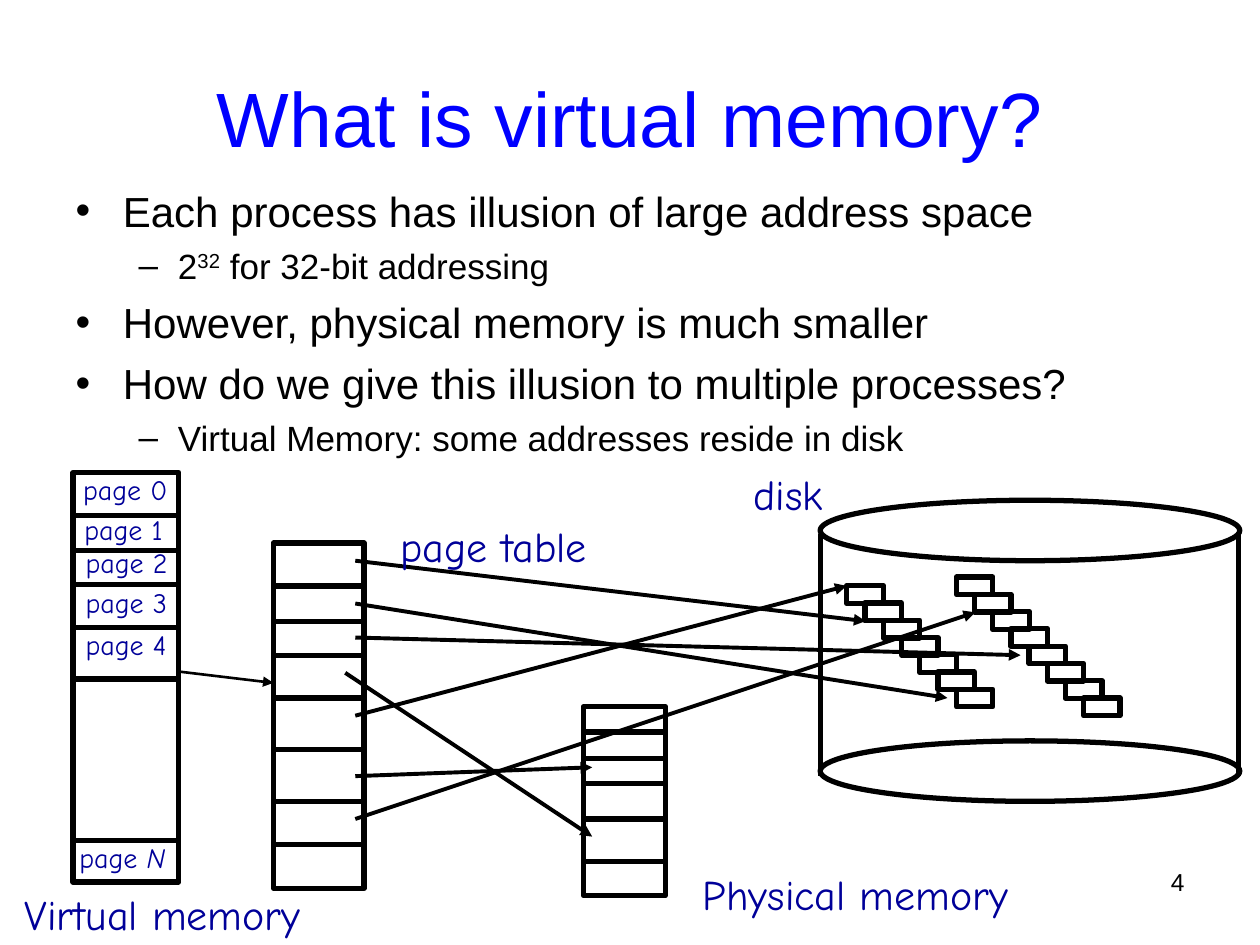
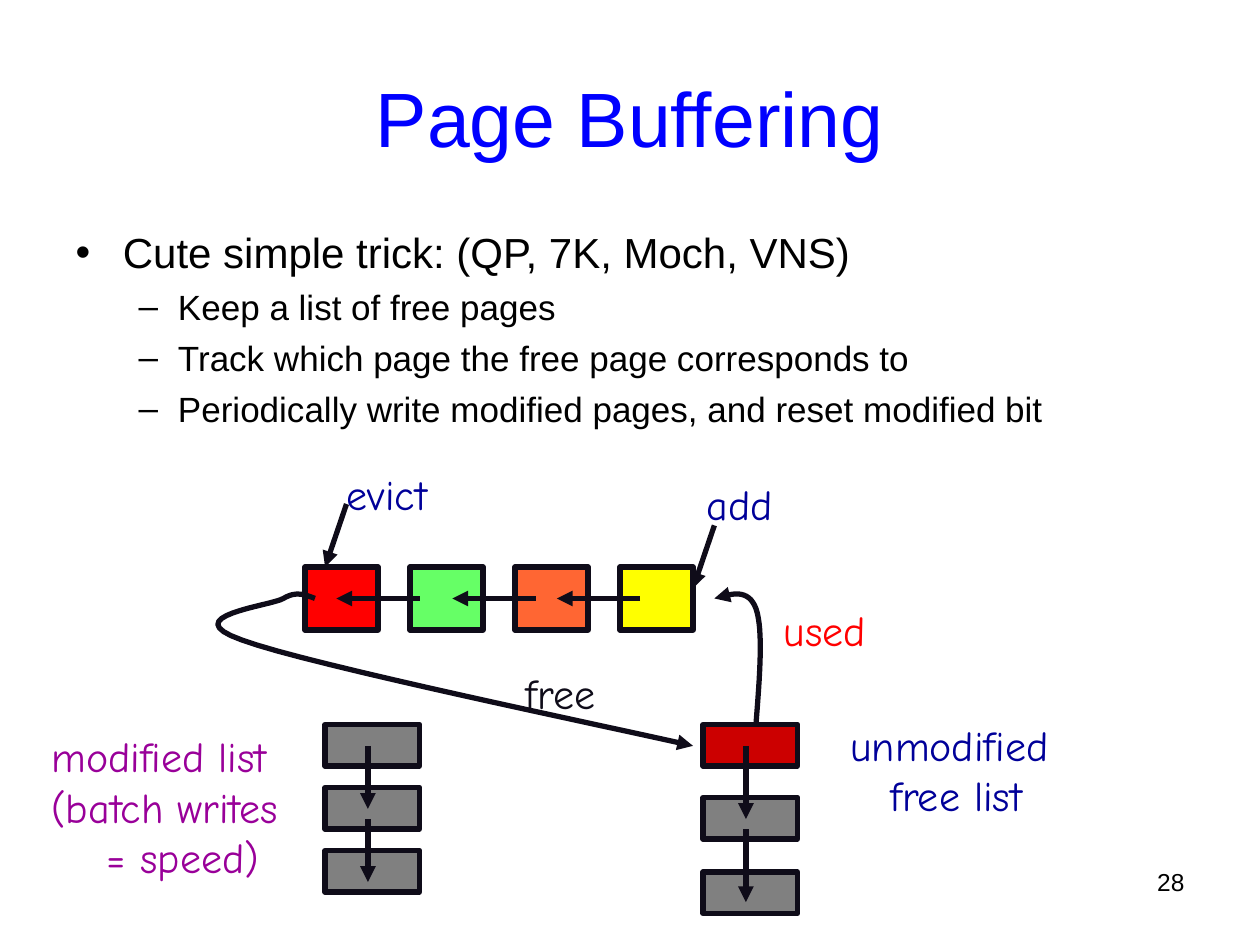
"""Build two slides on virtual memory and page buffering."""
from lxml import etree
from pptx import Presentation
from pptx.dml.color import RGBColor
from pptx.enum.shapes import MSO_CONNECTOR, MSO_SHAPE
from pptx.enum.text import MSO_ANCHOR, MSO_AUTO_SIZE, PP_ALIGN
from pptx.oxml.ns import qn
from pptx.util import Inches, Pt

RECT, OVAL = MSO_SHAPE.RECTANGLE, MSO_SHAPE.OVAL
STRAIGHT = MSO_CONNECTOR.STRAIGHT
LEFT, CENTER, RIGHT = PP_ALIGN.LEFT, PP_ALIGN.CENTER, PP_ALIGN.RIGHT
TOP, MIDDLE = MSO_ANCHOR.TOP, MSO_ANCHOR.MIDDLE
NO_FIT = MSO_AUTO_SIZE.NONE

COLORS = {
    "title": "0000FF", "black": "000000", "ink": "0F0C19", "navy": "000099",
    "red": "FF0000", "green": "66FF66", "orange": "FF6633", "yellow": "FFFF00",
    "dark red": "CC0000", "gray": "808080", "purple": "990099",
}
SANS, HAND = "Arial", "Comic Neue"
TITLE_BOX = (0.5, 0.3, 9, 1.25)
NUMBER_BOX = (7.17, 6.83, 2.33, 0.52)
LEVELS = ({"size": Pt(24), "before": Pt(6)}, {"size": Pt(20), "before": Pt(5)})


def rgb(name):
    """Return the colour held under a name."""
    return RGBColor.from_string(COLORS[name])


def bezier(p0, p1, p2, p3, steps=16):
    """Return points along a cubic curve, without its start."""
    ts = [i / steps for i in range(1, steps + 1)]
    return [tuple((1 - t) ** 3 * a + 3 * (1 - t) ** 2 * t * b
                  + 3 * (1 - t) * t ** 2 * c + t ** 3 * d
                  for a, b, c, d in zip(p0, p1, p2, p3)) for t in ts]


class Deck:
    """Holds the style and the current slide."""

    def __init__(self):
        """Start an empty presentation."""
        self.prs = Presentation()
        self.prs.slide_width, self.prs.slide_height = Inches(10), Inches(7.5)
        self.s, self.ink = None, "black"

    def slide(self, title, number, bullets, body_top, ink):
        """Add a slide with its title, list and number."""
        self.s, self.ink = self.prs.slides.add_slide(self.prs.slide_layouts[1]), ink
        sp, body = self.s.placeholders
        self.place(sp, TITLE_BOX)
        self.run(sp.text_frame.paragraphs[0], title, "title", name=SANS, size=Pt(44))
        self.place(body, (0.5, body_top, 9, 4.95))
        for i, (level, text) in enumerate(bullets):
            p = self.paragraph(body.text_frame, i)
            p.level, p.space_before = level, LEVELS[level]["before"]
            for part, fmt in [(text, {})] if isinstance(text, str) else text:
                self.run(p, part, "black", name=SANS, size=LEVELS[level]["size"], **fmt)
        self.text(NUMBER_BOX, [number], "black", size=14, font=SANS, align=RIGHT)

    def place(self, sp, box):
        """Move a placeholder and keep its text size fixed."""
        sp.left, sp.top, sp.width, sp.height = map(Inches, box)
        sp.text_frame.auto_size = NO_FIT

    def paragraph(self, tf, i):
        """Return the first paragraph or a new one."""
        return tf.add_paragraph() if i else tf.paragraphs[0]

    def run(self, p, text, color, baseline=None, **fmt):
        """Add a formatted run."""
        r = p.add_run()
        r.text = text
        for key, value in fmt.items():
            setattr(r.font, key, value)
        r.font.color.rgb = rgb(color)
        if baseline:
            r.font._element.set("baseline", str(baseline))

    def text(self, box, lines, color="navy", size=24, font=HAND, align=LEFT,
             anchor=TOP, margin=None, before=0):
        """Add a text box and return its frame."""
        tf = self.s.shapes.add_textbox(*map(Inches, box)).text_frame
        frame = {"auto_size": NO_FIT, "word_wrap": True, "vertical_anchor": anchor}
        if margin is not None:
            frame.update({f"margin_{side}": Inches(margin)
                          for side in ("left", "top", "right", "bottom")})
        for key, value in frame.items():
            setattr(tf, key, value)
        for i, line in enumerate(lines):
            p = self.paragraph(tf, i)
            p.alignment, p.space_before = align, Pt(before)
            self.run(p, line, color, name=font, size=Pt(size))
        return tf

    def outline(self, sp, width, arrow=False):
        """Give a shape the slide's line, with an arrowhead if asked."""
        sp.line.color.rgb, sp.line.width = rgb(self.ink), Pt(width)
        if arrow:
            etree.SubElement(sp.line._get_or_add_ln(), qn("a:tailEnd"), type="triangle")

    def shape(self, box, fill=None, kind=RECT):
        """Add an outlined shape, filled if a colour is named."""
        sp = self.s.shapes.add_shape(kind, *map(Inches, box))
        sp.shadow.inherit = False
        if fill:
            sp.fill.solid()
            sp.fill.fore_color.rgb = rgb(fill)
        else:
            sp.fill.background()
        self.outline(sp, 3)

    def line(self, x1, y1, x2, y2, width=3.0, arrow=False):
        """Add a straight line or arrow."""
        cx = self.s.shapes.add_connector(STRAIGHT, *map(Inches, (x1, y1, x2, y2)))
        self.outline(cx, width, arrow)
        etree.SubElement(cx._element.spPr, qn("a:effectLst"))

    def curve(self, start, *segments):
        """Add a curved arrow through cubic segments."""
        points = [start]
        for segment in segments:
            points += bezier(points[-1], *segment)
        points = [(Inches(x), Inches(y)) for x, y in points]
        fb = self.s.shapes.build_freeform(*points[0])
        fb.add_line_segments(points[1:], close=False)
        sp = fb.convert_to_shape()
        sp.shadow.inherit = False
        sp.fill.background()
        self.outline(sp, 3, arrow=True)

    def column(self, x, y, w, h, dividers):
        """Add a memory column split by horizontal lines."""
        self.shape((x, y, w, h))
        for divider in dividers:
            self.line(x, divider, x + w, divider)

    def diagonal(self, start, end, count):
        """Add disk blocks evenly from start to end."""
        for i in range(count):
            x, y = (a + (b - a) * i / (count - 1) for a, b in zip(start, end))
            self.shape((x, y, 0.29, 0.14))

    def chain(self, x, tops, head, length):
        """Add a vertical list of pages linked by arrows."""
        for i, top in enumerate(tops):
            self.shape((x, top, 0.75, 0.33), "gray" if i else head)
        for i, top in enumerate(tops[:-1]):
            y = top + (0.25 if i else 0.17)
            self.line(x + 0.34, y, x + 0.34, y + length, arrow=True)


def virtual_memory(deck):
    """Draw the virtual memory slide."""
    deck.slide("What is virtual memory?", "4", [
        (0, "Each process has illusion of large address space"),
        (1, [("2", {}), ("32", {"baseline": 30000}), (" for 32-bit addressing", {})]),
        (0, "However, physical memory is much smaller"),
        (0, "How do we give this illusion to multiple processes?"),
        (1, "Virtual Memory: some addresses reside in disk"),
    ], 1.42, "black")
    deck.column(4.63, 5.61, 0.65, 1.5, (5.81, 6.02, 6.22, 6.5, 6.84))
    deck.column(2.17, 4.31, 0.72, 2.74, (4.65, 4.93, 5.2, 5.54, 5.95, 6.36, 6.7))
    deck.column(0.58, 3.75, 0.84, 3.25, (4.09, 4.37, 4.64, 4.98, 5.39, 6.67))
    for y in (3.97, 5.88):
        deck.shape((6.51, y, 3.33, 0.48), kind=OVAL)
    for x in (6.51, 9.83):
        deck.line(x, 4.24, x, 6.16)
    deck.diagonal((6.72, 4.65), (7.59, 5.47), 7)
    deck.diagonal((7.59, 4.58), (8.6, 5.54), 8)
    for ends in ((2.74, 5.34, 4.7, 6.64), (2.82, 5.68, 6.72, 4.65),
                 (2.82, 6.5, 7.74, 4.86), (2.82, 6.16, 4.7, 6.09),
                 (2.82, 4.79, 7.52, 5.54), (2.82, 5.06, 8.1, 5.2),
                 (2.82, 4.45, 6.87, 4.93)):
        deck.line(*ends, width=2.25, arrow=True)
    deck.line(1.42, 5.33, 2.17, 5.42, width=1.5, arrow=True)
    deck.text((3.08, 4.08, 1.75, 0.5), ["page table"])
    deck.text((5.48, 6.84, 2.7, 0.5), ["Physical memory"], before=15)
    deck.text((5.88, 3.67, 0.85, 0.5), ["disk"])
    deck.text((0.1, 7, 2.5, 0.5), ["Virtual memory"])
    pages = ((0.66, 3.75), (0.67, 4.07), (0.68, 4.33), (0.68, 4.65), (0.68, 4.98))
    for i, (x, y) in enumerate(pages):
        deck.text((x, y, 0.74, 0.27), [f"page {i}"], size=16, margin=0)
    tf = deck.text((0.63, 6.67, 0.78, 0.27), ["page "], size=16, margin=0)
    deck.run(tf.paragraphs[0], "N", "navy", name=HAND, size=Pt(16), italic=True)


def page_buffering(deck):
    """Draw the page buffering slide."""
    deck.slide("Page Buffering", "28", [
        (0, "Cute simple trick: (QP, 7K, Moch, VNS)"),
        (1, "Keep a list of free pages"),
        (1, "Track which page the free page corresponds to"),
        (1, "Periodically write modified pages, and reset modified bit"),
    ], 1.75, "ink")
    for i, fill in enumerate(("red", "green", "orange", "yellow")):
        deck.shape((2.42 + i * 2.5 / 3, 4.5, 0.58, 0.5), fill)
    for x in (5.08, 4.25, 3.33):
        deck.line(x, 4.75, x - 0.66, 4.75, arrow=True)
    for x, y in ((5.67, 4.17), (2.75, 4)):
        deck.line(x, y, x - 0.17, y + 0.5, arrow=True)
    deck.chain(2.58, (5.75, 6.25, 6.75), "gray", 0.5)
    deck.chain(5.58, (5.75, 6.33, 6.92), "dark red", 0.58)
    deck.curve((2.5, 4.75), ((2.42, 4.72), (2.35, 4.69), (2.25, 4.75)),
               ((2.15, 4.81), (1.38, 4.89), (1.92, 5.08)),
               ((2.46, 5.28), (4.89, 5.78), (5.5, 5.92)))
    deck.curve((6, 5.75), ((6.03, 5.37), (6.06, 5), (6, 4.83)),
               ((5.94, 4.67), (5.81, 4.71), (5.67, 4.75)))
    for box, lines, color in (
            ((5.46, 3.75, 0.82, 0.5), ["add"], "navy"),
            ((2.6, 3.67, 0.94, 0.5), ["evict"], "navy"),
            ((6.6, 5.66, 1.98, 0.9), ["unmodified ", "free list"], "navy"),
            ((6.07, 4.75, 0.95, 0.5), ["used"], "red"),
            ((4.02, 5.25, 0.86, 0.5), ["free"], "ink")):
        deck.text(box, lines, color, align=CENTER, anchor=MIDDLE)
    tf = deck.text((0.31, 5.75, 2.1, 1.3),
                   ["modified list", "(batch writes", "= speed)"], "purple", anchor=MIDDLE)
    tf.paragraphs[2]._p.get_or_add_pPr().set("marL", str(Inches(0.44)))


def main():
    """Build and save the slides."""
    deck = Deck()
    virtual_memory(deck)
    page_buffering(deck)
    deck.prs.save("out.pptx")


if __name__ == "__main__":
    main()
